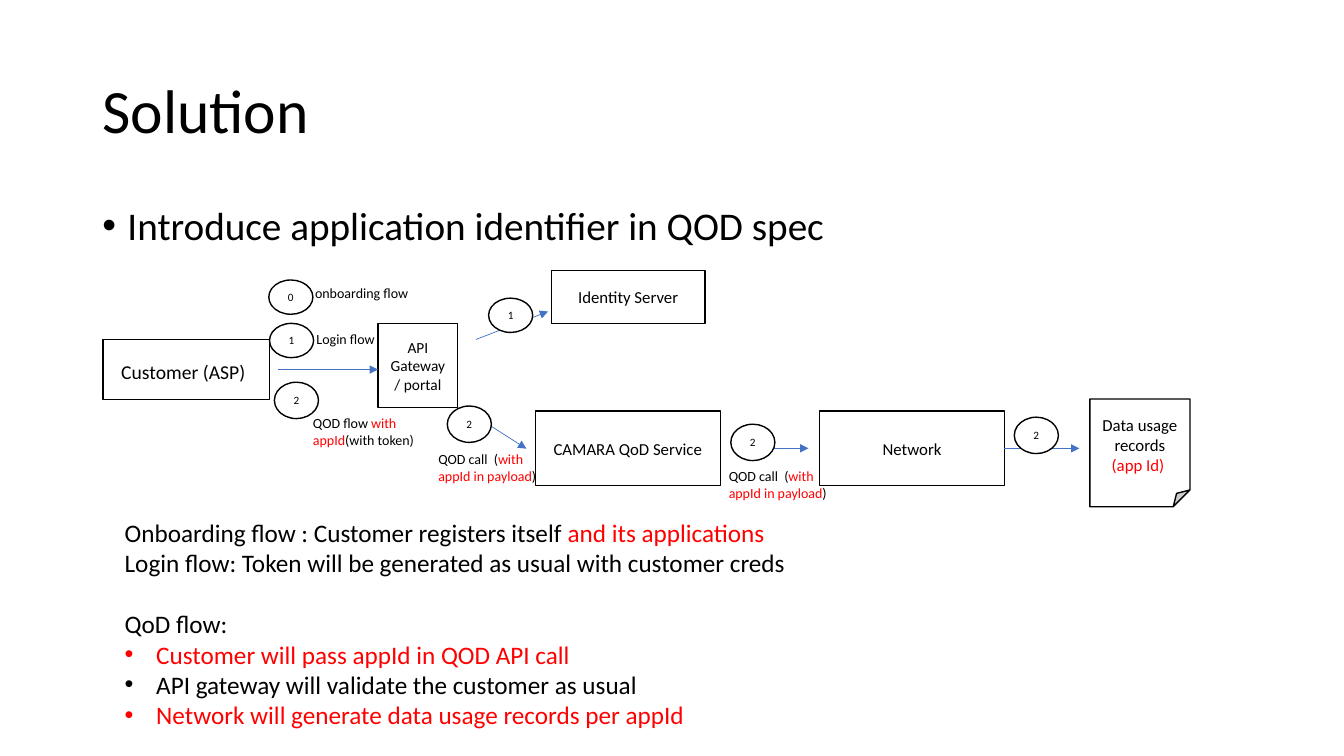
import lxml.etree
import pptx
import pptx.dml.color
import pptx.enum.shapes
import pptx.enum.text
import pptx.oxml.ns
import pptx.util

Pt = pptx.util.Pt
SHAPE = pptx.enum.shapes.MSO_SHAPE
ALIGN = pptx.enum.text.PP_ALIGN
ANCHOR = pptx.enum.text.MSO_ANCHOR
BLACK = pptx.dml.color.RGBColor(0x00, 0x00, 0x00)
WHITE = pptx.dml.color.RGBColor(0xFF, 0xFF, 0xFF)
RED = pptx.dml.color.RGBColor(0xFF, 0x00, 0x00)
BLUE = pptx.dml.color.RGBColor(0x44, 0x72, 0xC4)
FONT = "Calibri"

# Content: a line is a list of (text, colour) or (text, colour, size) runs
TITLE = [[("Solution", BLACK)]]
HEADLINE = [[("Introduce application identifier in QOD spec", BLACK)]]

# Boxes: name -> (preset, left, top, width, height, text size, lines)
BOXES = {
    "customer": (SHAPE.RECTANGLE, 73.5, 242.5, 119, 43, 14,
                 [[("Customer (ASP)", BLACK), (" ", BLACK, 18)]]),
    "identity": (SHAPE.RECTANGLE, 394, 193, 109.5, 38, 12,
                 [[("Identity Server", BLACK)]]),
    "service": (SHAPE.RECTANGLE, 382.5, 293.5, 132, 53.5, 12,
                [[("CAMARA QoD Service", BLACK)]]),
    "network": (SHAPE.RECTANGLE, 585.5, 293.5, 132, 53.5, 12,
                [[("Network", BLACK)]]),
    "gateway": (SHAPE.RECTANGLE, 270, 231, 57, 60, 11,
                [[("API Gateway/ portal", BLACK)]]),
    "records": (SHAPE.FOLDED_CORNER, 778.5, 285, 71.5, 77, 12,
                [[("Data usage records ", BLACK), ("(app Id) ", RED)]]),
}

# Arrows: start x, start y, end x, end y, box joined at its right side
ARROWS = [
    (198.5, 264, 270, 264, None),
    (340, 242.5, 391.5, 222.5, None),
    (340, 297.5, 376, 320.5, None),
    (524, 320.25, 577.5, 320.25, None),
    (717.5, 320.25, 771, 320.25, "network"),
]

# Step markers: number, left, top, height
STEP_WIDTH = 31.5
STEPS = [
    ("0", 192, 200, 24.5), ("1", 192.5, 231, 24.5), ("1", 349, 213, 24.5),
    ("2", 196, 273, 26), ("2", 319.5, 290, 26),
    ("2", 522, 303, 26), ("2", 724.5, 298, 26),
]

# Flow labels: left, top, height, runs
LABEL_WIDTH = 92
QOD_CALL = [("QOD call  (", BLACK), ("with appId in payload", RED), (")", BLACK)]
LABELS = [
    (218, 199.5, 19.5, [("onboarding flow", BLACK)]),
    (219, 232.5, 19.5, [("Login flow", BLACK)]),
    (216.5, 292.5, 31.5,
     [("QOD flow ", BLACK), ("with appId", RED), ("(with token)", BLACK)]),
    (306, 318.5, 31.5, QOD_CALL),
    (513.5, 330.5, 31.5, QOD_CALL),
]

NOTES = [
    [("Onboarding flow : Customer registers itself ", BLACK),
     ("and its applications", RED)],
    [("Login flow: Token will be generated as usual with customer creds", BLACK)],
    [("QoD flow:", BLACK)],
    [("Customer will pass appId in QOD API call", RED)],
    [("API gateway will validate the customer as usual", BLACK)],
    [("Network will generate data usage records per appId", RED)],
]


def add_bullet(paragraph, indent):
    properties = paragraph._p.get_or_add_pPr()
    properties.set("marL", str(Pt(indent)))
    properties.set("indent", str(-Pt(indent)))
    for tag, key, value in (("a:buFont", "typeface", "Arial"), ("a:buChar", "char", "•")):
        lxml.etree.SubElement(properties, pptx.oxml.ns.qn(tag)).set(key, value)


def write_text(frame, lines, size, align=ALIGN.LEFT, anchor=ANCHOR.TOP,
               spacing=None, before=None, bullet_from=None, indent=0, grow=False):
    """Fill a frame; before maps a line index to its space before."""
    frame.word_wrap = True
    frame.vertical_anchor = anchor
    if grow:
        frame.auto_size = pptx.enum.text.MSO_AUTO_SIZE.SHAPE_TO_FIT_TEXT
    for index, runs in enumerate(lines):
        paragraph = frame.add_paragraph() if index else frame.paragraphs[0]
        paragraph.alignment = align
        if spacing:
            paragraph.line_spacing = spacing
        if before and index in before:
            paragraph.space_before = Pt(before[index])
        if bullet_from is not None and index >= bullet_from:
            add_bullet(paragraph, indent)
        for text, colour, *own_size in runs:
            run = paragraph.add_run()
            run.text = text
            run.font.name = FONT
            run.font.size = Pt(own_size[0] if own_size else size)
            run.font.color.rgb = colour


def add_outlined(slide, preset, left, top, width, height, size, lines):
    shape = slide.shapes.add_shape(preset, Pt(left), Pt(top), Pt(width), Pt(height))
    shape.shadow.inherit = False
    shape.fill.solid()
    shape.fill.fore_color.rgb = WHITE
    shape.line.color.rgb = BLACK
    shape.line.width = Pt(1)
    write_text(shape.text_frame, lines, size, align=ALIGN.CENTER, anchor=ANCHOR.MIDDLE)
    return shape


def add_arrow(slide, x1, y1, x2, y2, source):
    arrow = slide.shapes.add_connector(
        pptx.enum.shapes.MSO_CONNECTOR.STRAIGHT, Pt(x1), Pt(y1), Pt(x2), Pt(y2))
    if source is not None:
        arrow.begin_connect(source, 3)
    arrow.line.color.rgb = BLUE
    arrow.line.width = Pt(0.5)
    line = arrow.line._get_or_add_ln()
    lxml.etree.SubElement(line, pptx.oxml.ns.qn("a:tailEnd")).set("type", "triangle")
    lxml.etree.SubElement(arrow._element.spPr, pptx.oxml.ns.qn("a:effectLst"))


def add_label(slide, left, top, width, height, lines, size, **text_format):
    label = slide.shapes.add_textbox(Pt(left), Pt(top), Pt(width), Pt(height))
    write_text(label.text_frame, lines, size, **text_format)


def main():
    deck = pptx.Presentation()
    deck.slide_width, deck.slide_height = Pt(960), Pt(540)
    slide = deck.slides.add_slide(deck.slide_layouts[5])

    # Title and headline
    title = slide.shapes.title
    title.left, title.top, title.width, title.height = Pt(66), Pt(29), Pt(828), Pt(104.5)
    write_text(title.text_frame, TITLE, 44, anchor=ANCHOR.MIDDLE, spacing=0.9)
    add_label(slide, 66, 144, 828, 343, HEADLINE, 28, spacing=0.9,
              before={0: 10}, bullet_from=0, indent=18)

    # Flow diagram
    boxes = {name: add_outlined(slide, *box) for name, box in BOXES.items()}
    for *ends, source in ARROWS:
        add_arrow(slide, *ends, boxes.get(source))
    for number, left, top, height in STEPS:
        add_outlined(slide, SHAPE.OVAL, left, top, STEP_WIDTH, height, 8,
                     [[(number, BLACK)]])
    for left, top, height, runs in LABELS:
        add_label(slide, left, top, LABEL_WIDTH, height, [runs], 10, grow=True)

    # Explanation
    add_label(slide, 82, 366, 689, 160, NOTES, 18, before={2: 22},
              bullet_from=3, indent=22.5, grow=True)

    deck.save("out.pptx")


if __name__ == "__main__":
    main()
